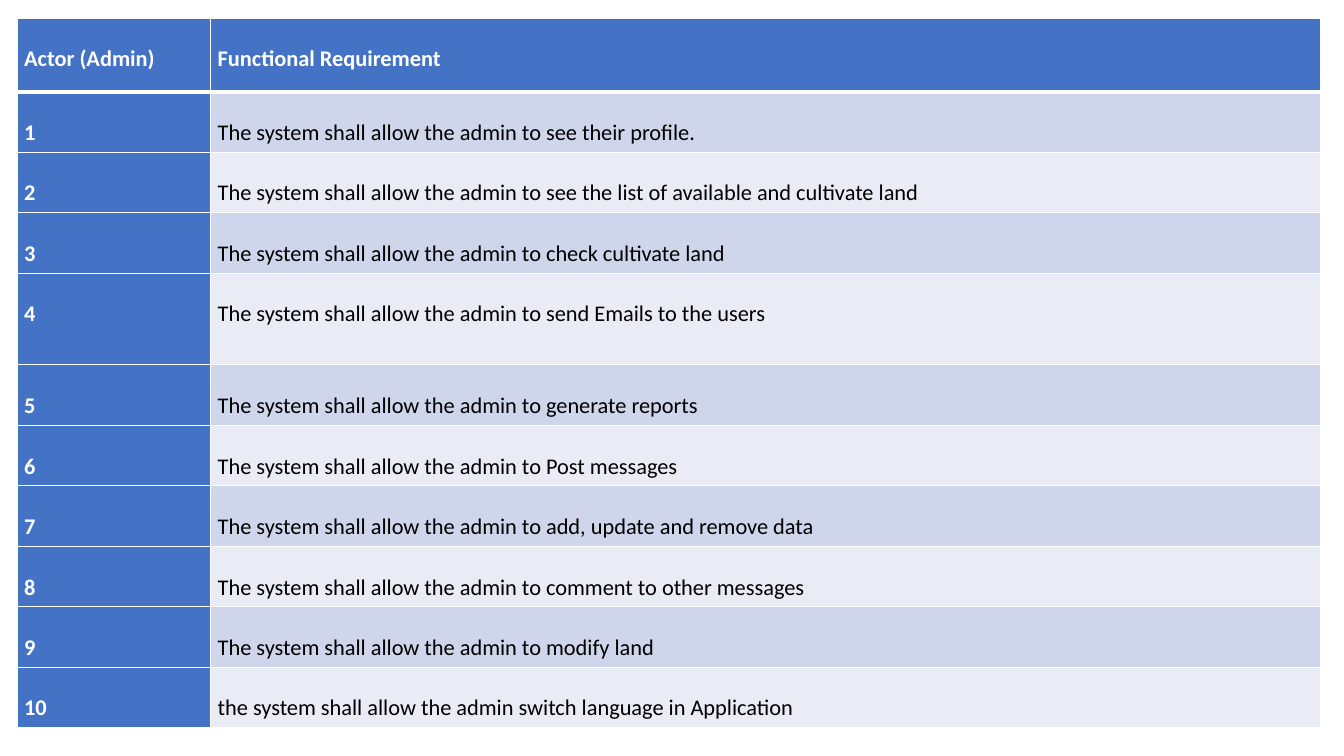
from dataclasses import dataclass

from lxml import etree
from pptx import Presentation
from pptx.dml.color import RGBColor
from pptx.enum.text import PP_ALIGN as Align
from pptx.oxml.ns import qn
from pptx.util import Inches, Pt


@dataclass(frozen=True)
class Theme:
    font: str = "Calibri"
    size: int = 16
    blue: str = "4472C4"
    white: str = "FFFFFF"
    black: str = "000000"
    bands: tuple = ("CFD5EA", "E9EBF5")
    thin: int = 1
    thick: int = 3


theme = Theme()


def add_border(cell, side, width):
    line = etree.SubElement(cell._tc.get_or_add_tcPr(), qn(f"a:ln{side}"), w=str(Pt(width)))
    fill = etree.SubElement(line, qn("a:solidFill"))
    etree.SubElement(fill, qn("a:srgbClr"), val=theme.white)


requirements = [
    "The system shall allow the admin to see their profile.",
    "The system shall allow the admin to see the list of available and cultivate land",
    "The system shall allow the admin to check cultivate land",
    "The system shall allow the admin to send Emails to the users",
    "The system shall allow the admin to generate reports",
    "The system shall allow the admin to Post messages",
    "The system shall allow the admin to add, update and remove data",
    "The system shall allow the admin to comment to other messages",
    "The system shall allow the admin to modify land",
    "the system shall allow the admin switch language in Application",
]
rows = [("Actor (Admin)", "Functional Requirement")]
rows += [(str(number), text) for number, text in enumerate(requirements, 1)]
column_widths = (1.92, 11.01)
row_height = 0.6
tall_rows = {0: 0.73, 4: 0.91}

deck = Presentation()
deck.slide_width, deck.slide_height = Inches(13.33), Inches(7.5)
page = deck.slides.add_slide(deck.slide_layouts[6])

frame = page.shapes.add_table(
    len(rows), len(column_widths), Inches(0.17), Inches(0.18), Inches(12.94), Inches(7.08)
)
table = frame.table
table.first_col = True
for column, width in zip(table.columns, column_widths):
    column.width = Inches(width)

for row_index, texts in enumerate(rows):
    table.rows[row_index].height = Inches(tall_rows.get(row_index, row_height))
    for column_index, text in enumerate(texts):
        cell = table.cell(row_index, column_index)
        is_heading = row_index == 0 or column_index == 0

        # The rule between the header and the first requirement is heavier
        for side in "LRTB":
            under_header = (row_index, side) in ((0, "B"), (1, "T"))
            add_border(cell, side, theme.thick if under_header else theme.thin)
        cell.fill.solid()
        band = theme.bands[(row_index - 1) % 2]
        cell.fill.fore_color.rgb = RGBColor.from_string(theme.blue if is_heading else band)
        cell.margin_left = cell.margin_right = Inches(0.07)
        cell.margin_top = cell.margin_bottom = 0

        para = cell.text_frame.paragraphs[0]
        para.alignment = Align.JUSTIFY
        para.line_spacing = 2.0
        para.space_before = para.space_after = Pt(2)
        span = para.add_run()
        span.text = text
        span.font.name = theme.font
        span.font.size = Pt(theme.size)
        span.font.bold = is_heading
        span.font.color.rgb = RGBColor.from_string(theme.white if is_heading else theme.black)

deck.save("out.pptx")
